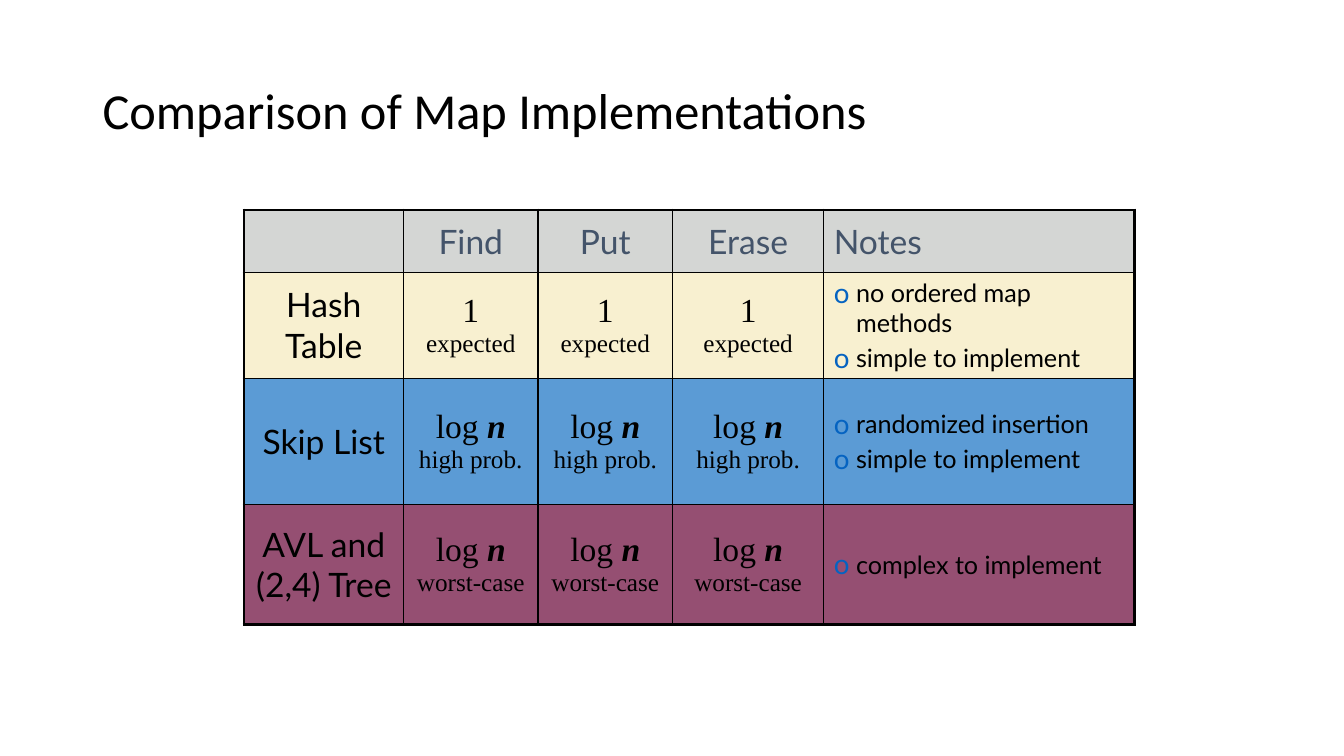
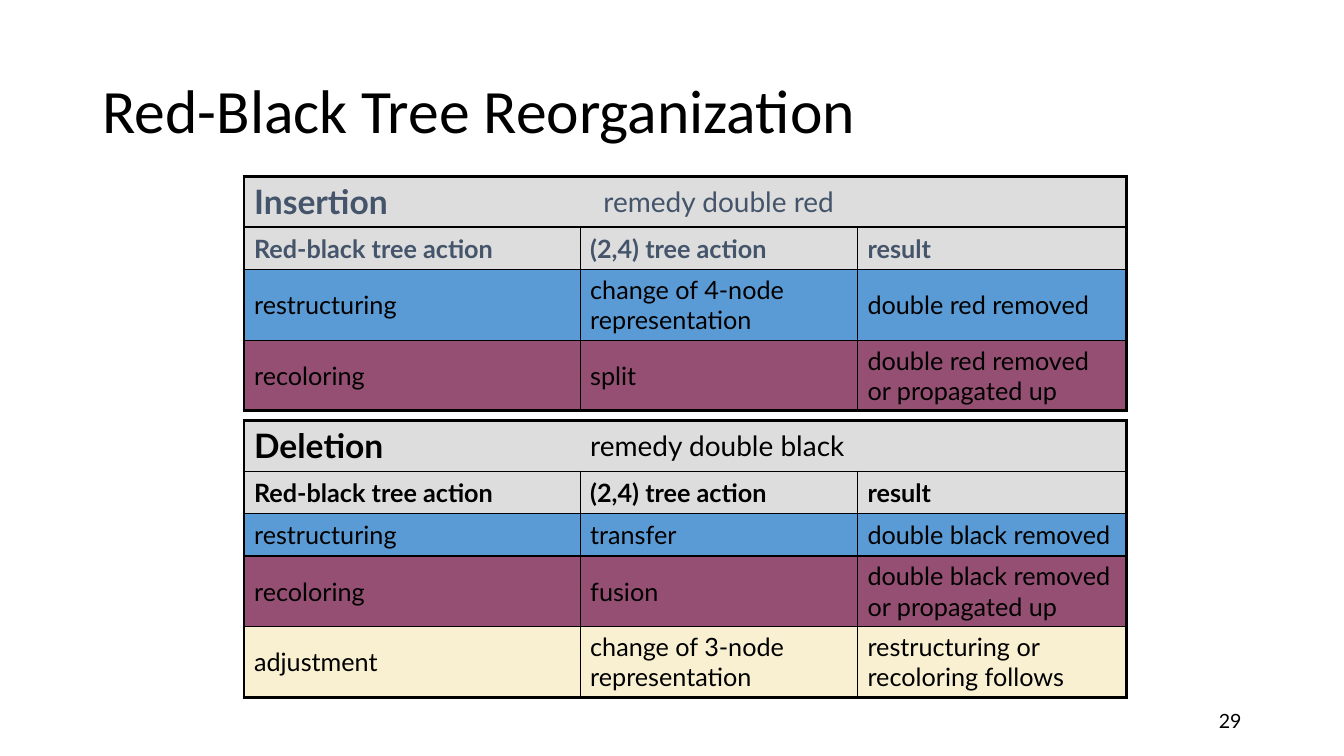
import pptx
import pptx.util
import pptx.dml.color
import pptx.enum.text
import pptx.oxml
import pptx.oxml.ns

Cm, Pt = pptx.util.Cm, pptx.util.Pt
ALIGN = pptx.enum.text.PP_ALIGN
MID = pptx.enum.text.MSO_ANCHOR.MIDDLE

BLACK, SLATE, LINK = "000000", "44546A", "0563C1"
SILVER, GREY, CREAM, BLUE, PLUM = "D4D6D4", "DDDDDD", "F8F0D0", "5B9BD5", "954F72"
SANS, SERIF = "Lato", "Times New Roman"
THIN, THICK = 1, 2.25
LEFT = 6.15
NO_STYLE = "{2D5ABB26-0587-4C30-8999-92F81FD0307C}"

MAP_COLS = [4.02, 3.39, 3.39, 3.81, 7.83]
MAP_ROWS = [1.57, 2.67, 3.18, 3.02]
MAP_HEAD = ["", "Find", "Put", "Erase", "Notes"]
MAPS = [
    ("Hash Table", "1", "", "expected",
     ["no ordered map\nmethods", "simple to implement"], CREAM),
    ("Skip List", "log ", "n", "high prob.",
     ["randomized insertion", "simple to implement"], BLUE),
    ("AVL and (2,4) Tree", "log ", "n", "worst-case",
     ["complex to implement"], PLUM),
]

TREE_COLS = [8.47, 6.99, 6.77]
TREE_HEAD = ["Red-black tree action", "(2,4) tree action", "result"]
TREES = [
    dict(name="Insertion", goal="remedy double red", top=4.45, ink=SLATE,
         align=ALIGN.CENTER, rows=[
             (1.78, BLUE, ["restructuring", "change of 4-node representation",
                           "double red removed"]),
             (1.78, PLUM, ["recoloring", "split",
                           "double red removed or propagated up"]),
         ]),
    dict(name="Deletion", goal="remedy double black", top=10.6, ink=BLACK,
         align=ALIGN.LEFT, rows=[
             (1.07, BLUE, ["restructuring", "transfer", "double black removed"]),
             (1.78, PLUM, ["recoloring", "fusion",
                           "double black removed or propagated up"]),
             (1.78, CREAM, ["adjustment", "change of 3-node representation",
                            "restructuring or recoloring follows"]),
         ]),
]


def hue(code):
    return pptx.dml.color.RGBColor.from_string(code)


def write(para, text, size, ink=BLACK, face=SANS, bold=False, slant=False):
    for i, part in enumerate(text.split("\n")):
        if i:
            para.add_line_break()
        if part:
            run = para.add_run()
            run.text = part
            font = run.font
            font.size, font.name = Pt(size), face
            font.bold, font.italic = bold, slant
            font.color.rgb = hue(ink)


def node(xml):
    space = pptx.oxml.ns.nsdecls("a")
    return pptx.oxml.parse_xml(xml.replace(" ", f" {space} ", 1))


def rule(cell, widths):
    props = cell._tc.get_or_add_tcPr()
    for i, (side, width) in enumerate(zip("LRTB", widths)):
        paint = (f'<a:solidFill><a:srgbClr val="{BLACK}"/></a:solidFill>'
                 if width else "<a:noFill/>")
        props.insert(i, node(f'<a:ln{side} w="{int(Pt(width))}">{paint}</a:ln{side}>'))


def bullet(para):
    props = para._p.get_or_add_pPr()
    props.set("marL", str(Cm(0.56)))
    props.set("indent", str(-Cm(0.56)))
    for xml in (f'<a:buClr ><a:srgbClr val="{LINK}"/></a:buClr>',
                '<a:buSzPct val="110000"/>',
                f'<a:buFont typeface="{SANS}"/>',
                '<a:buChar char="o"/>'):
        props.append(node(xml))


def add_grid(slide, top, cols, rows, fills, open_top=False):
    frame = slide.shapes.add_table(len(rows), len(cols), Cm(LEFT), Cm(top),
                                   Cm(sum(cols)), Cm(sum(rows)))
    grid = frame.table
    grid.first_row = grid.horz_banding = False
    grid._tbl.tblPr[0].text = NO_STYLE
    for col, width in zip(grid.columns, cols):
        col.width = Cm(width)
    for r, (high, shade) in enumerate(zip(rows, fills)):
        grid.rows[r].height = Cm(high)
        side = 0 if open_top and r == 0 else THIN
        for c in range(len(cols)):
            cell = grid.cell(r, c)
            cell.vertical_anchor = MID
            cell.fill.solid()
            cell.fill.fore_color.rgb = hue(shade)
            rule(cell, (THICK if c == 0 else side,
                        THICK if c == len(cols) - 1 else side,
                        THICK if r == 0 else THIN,
                        THICK if r == len(rows) - 1 else THIN))
    return grid


def put(cell, text, size, align=ALIGN.LEFT, **style):
    para = cell.text_frame.paragraphs[0]
    para.alignment = align
    write(para, text, size, **style)
    return para


def add_page(deck, title, size):
    slide = deck.slides.add_slide(deck.slide_layouts[5])
    head = slide.shapes.title
    head.left, head.top, head.width, head.height = map(Cm, (2.33, 1.01, 29.21, 3.68))
    frame = head.text_frame
    frame.auto_size = pptx.enum.text.MSO_AUTO_SIZE.NONE
    frame.vertical_anchor = MID
    para = frame.paragraphs[0]
    para.alignment = ALIGN.LEFT
    para.line_spacing = 0.9
    write(para, title, size, face="Calibri")
    return slide


def list_notes(cell, notes):
    frame = cell.text_frame
    for i, note in enumerate(notes):
        para = frame.add_paragraph() if i else frame.paragraphs[0]
        bullet(para)
        if i:
            para.space_before = Pt(3.6)
        write(para, note, 18)


def add_maps(deck):
    slide = add_page(deck, "Comparison of Map Implementations", 36)
    fills = [SILVER] + [row[-1] for row in MAPS]
    grid = add_grid(slide, 5.29, MAP_COLS, MAP_ROWS, fills)
    for c, text in enumerate(MAP_HEAD):
        align = ALIGN.LEFT if text == "Notes" else ALIGN.CENTER
        put(grid.cell(0, c), text, 24, align, ink=SLATE)
    for r, (name, cost, term, case, notes, _) in enumerate(MAPS, 1):
        put(grid.cell(r, 0), name, 24, ALIGN.CENTER)
        for c in (1, 2, 3):
            para = put(grid.cell(r, c), cost, 24, ALIGN.CENTER, face=SERIF)
            write(para, term, 24, face=SERIF, bold=True, slant=True)
            para.add_line_break()
            write(para, case, 18, face=SERIF)
        list_notes(grid.cell(r, 4), notes)


def add_trees(deck):
    slide = add_page(deck, "Red-Black Tree Reorganization", 44)
    for tree in TREES:
        highs = [1.27, 1.07] + [row[0] for row in tree["rows"]]
        fills = [GREY, GREY] + [row[1] for row in tree["rows"]]
        grid = add_grid(slide, tree["top"], TREE_COLS, highs, fills, open_top=True)
        ink = tree["ink"]
        put(grid.cell(0, 0), tree["name"], 24, ink=ink, bold=True)
        put(grid.cell(0, 1), tree["goal"], 20, tree["align"], ink=ink)
        for c, text in enumerate(TREE_HEAD):
            put(grid.cell(1, c), text, 18, ink=ink, bold=True)
        for r, (_, _, texts) in enumerate(tree["rows"], 2):
            for c, text in enumerate(texts):
                put(grid.cell(r, c), text, 18)
    box = slide.shapes.add_textbox(*map(Cm, (23.92, 17.65, 7.62, 1.02)))
    box.text_frame.word_wrap = True
    box.text_frame.vertical_anchor = MID
    para = box.text_frame.paragraphs[0]
    para.alignment = ALIGN.RIGHT
    write(para, "29", 14)


def main():
    deck = pptx.Presentation()
    deck.slide_width, deck.slide_height = Cm(33.87), Cm(19.05)
    add_maps(deck)
    add_trees(deck)
    deck.save("out.pptx")


if __name__ == "__main__":
    main()
